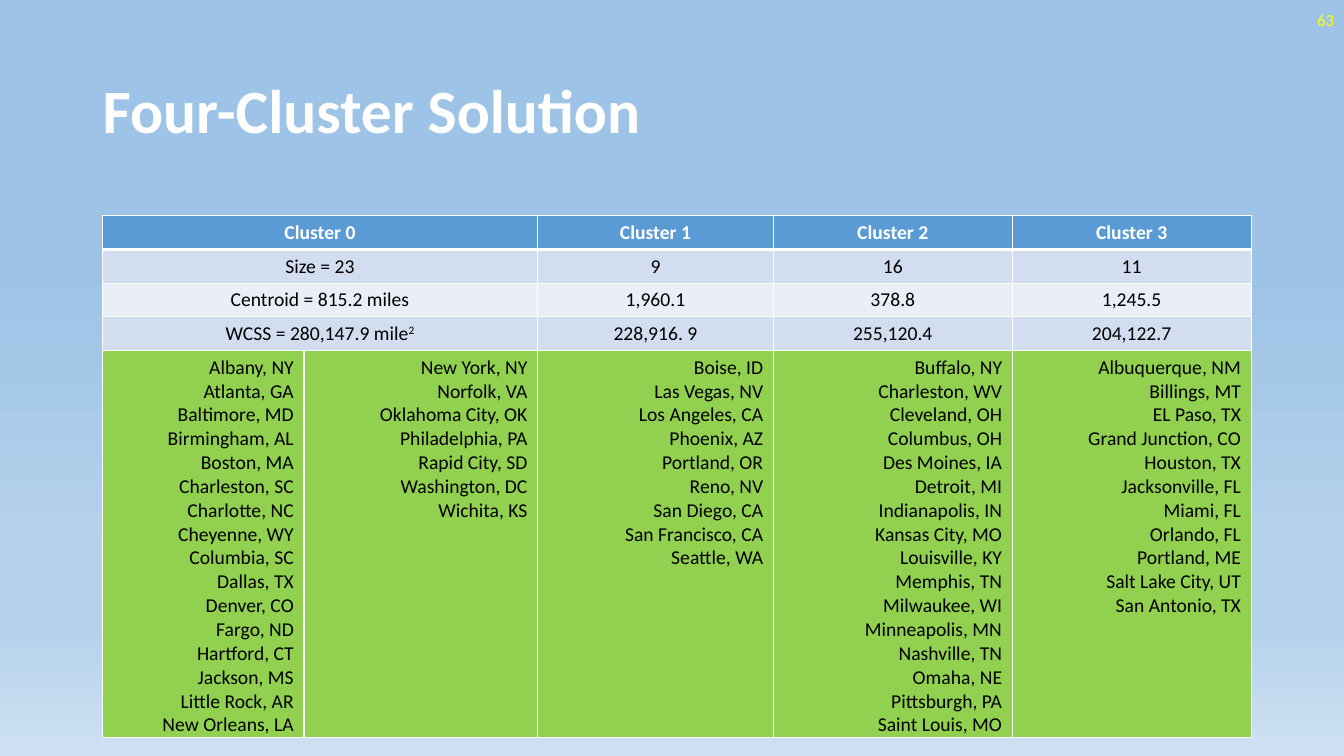
"""Builds the four-cluster solution slide with its table of cities."""
from dataclasses import dataclass

from pptx import Presentation
from pptx.dml.color import RGBColor as Rgb
from pptx.enum.text import MSO_ANCHOR as Anchor, PP_ALIGN as Align
from pptx.oxml import parse_xml
from pptx.oxml.ns import nsdecls, qn
from pptx.util import Cm, Pt

TITLE = "Four-Cluster Solution"
PAGE = "63"
SUMMARY = [
    ["Cluster 0", "Cluster 1", "Cluster 2", "Cluster 3"],
    ["Size = 23", "9", "16", "11"],
    ["Centroid = 815.2 miles", "1,960.1", "378.8", "1,245.5"],
    ["WCSS = 280,147.9 mile^2", "228,916. 9", "255,120.4", "204,122.7"],
]
CITIES = [
    ["Albany, NY", "Atlanta, GA", "Baltimore, MD", "Birmingham, AL",
     "Boston, MA", "Charleston, SC", "Charlotte, NC", "Cheyenne, WY",
     "Columbia, SC", "Dallas, TX", "Denver, CO", "Fargo, ND",
     "Hartford, CT", "Jackson, MS", "Little Rock, AR", "New Orleans, LA"],
    ["New York, NY", "Norfolk, VA", "Oklahoma City, OK", "Philadelphia, PA",
     "Rapid City, SD", "Washington, DC", "Wichita, KS"],
    ["Boise, ID", "Las Vegas, NV", "Los Angeles, CA", "Phoenix, AZ",
     "Portland, OR", "Reno, NV", "San Diego, CA", "San Francisco, CA",
     "Seattle, WA"],
    ["Buffalo, NY", "Charleston, WV", "Cleveland, OH", "Columbus, OH",
     "Des Moines, IA", "Detroit, MI", "Indianapolis, IN", "Kansas City, MO",
     "Louisville, KY", "Memphis, TN", "Milwaukee, WI", "Minneapolis, MN",
     "Nashville, TN", "Omaha, NE", "Pittsburgh, PA", "Saint Louis, MO"],
    ["Albuquerque, NM", "Billings, MT", "EL Paso, TX", "Grand Junction, CO",
     "Houston, TX", "Jacksonville, FL", "Miami, FL", "Orlando, FL",
     "Portland, ME", "Salt Lake City, UT", "San Antonio, TX"],
]
COLUMN_WIDTHS = [5.08, 5.89, 5.94, 6.02, 6.02]
SUMMARY_HEIGHT, CITIES_HEIGHT = 0.76, 8.97


@dataclass(frozen=True)
class Theme:
    """Colours, font and type sizes of the slide."""
    font: str = "Calibri"
    white: str = "FFFFFF"
    black: str = "000000"
    page: str = "FFFF00"
    rows: tuple = ("5B9BD5", "D2DEEF", "EAEFF7", "D2DEEF", "92D050")
    sky: tuple = ((35, "9DC3E6"), (74, "B5D2EC"), (83, "B5D2EC"), (100, "CEE1F2"))
    title_size: int = 44
    table_size: int = 14
    page_size: int = 12
    rule: int = 1
    header_rule: int = 3


THEME = Theme()


def add_run(paragraph, text, size, color, bold=False):
    """Adds one formatted run and returns it."""
    run = paragraph.add_run()
    run.text = text
    run.font.name, run.font.size, run.font.bold = THEME.font, Pt(size), bold
    run.font.color.rgb = Rgb.from_string(color)
    return run


def paint_sky(slide):
    """Fills the background with the vertical gradient."""
    fill = slide.background.fill
    fill.gradient()
    fill.gradient_angle = 270
    stops = slide.element.find(".//" + qn("a:gsLst"))
    for stop in list(stops):
        stops.remove(stop)
    for percent, color in THEME.sky:
        stops.append(parse_xml(
            f'<a:gs {nsdecls("a")} pos="{percent * 1000}"><a:srgbClr val="{color}"/></a:gs>'))


def rule_cell(cell, top, bottom):
    """Draws the four white borders of a cell."""
    properties = cell._tc.get_or_add_tcPr()
    widths = {"lnL": THEME.rule, "lnR": THEME.rule, "lnT": top, "lnB": bottom}
    for place, (side, width) in enumerate(widths.items()):
        properties.insert(place, parse_xml(
            f'<a:{side} {nsdecls("a")} w="{Pt(width)}"><a:solidFill>'
            f'<a:srgbClr val="{THEME.white}"/></a:solidFill></a:{side}>'))


def write_cell(cell, lines, align, color, bold):
    """Writes lines as paragraphs, raising whatever follows a caret."""
    for index, line in enumerate(lines):
        frame = cell.text_frame
        paragraph = frame.add_paragraph() if index else frame.paragraphs[0]
        paragraph.alignment = align
        base, _, power = line.partition("^")
        add_run(paragraph, base, THEME.table_size, color, bold)
        if power:
            raised = add_run(paragraph, power, THEME.table_size, color, bold)
            raised.font._element.set("baseline", "30000")


def add_clusters(slide):
    """Adds the table of cluster figures and cities."""
    heights = [SUMMARY_HEIGHT] * len(SUMMARY) + [CITIES_HEIGHT]
    table = slide.shapes.add_table(
        len(heights), len(COLUMN_WIDTHS), Cm(2.58), Cm(5.44),
        Cm(sum(COLUMN_WIDTHS)), Cm(sum(heights))).table
    for column, width in zip(table.columns, COLUMN_WIDTHS):
        column.width = Cm(width)
    for row, height in zip(table.rows, heights):
        row.height = Cm(height)

    for r, shade in enumerate(THEME.rows):
        for c in range(len(COLUMN_WIDTHS)):
            cell = table.cell(r, c)
            cell.fill.solid()
            cell.fill.fore_color.rgb = Rgb.from_string(shade)
            rule_cell(cell, THEME.header_rule if r == 1 else THEME.rule,
                      THEME.header_rule if r == 0 else THEME.rule)

    for r, figures in enumerate(SUMMARY):
        table.cell(r, 0).merge(table.cell(r, 1))
        for c, figure in zip((0, 2, 3, 4), figures):
            cell = table.cell(r, c)
            cell.vertical_anchor = Anchor.MIDDLE
            write_cell(cell, [figure], Align.CENTER,
                       THEME.black if r else THEME.white, r == 0)
    for c, cities in enumerate(CITIES):
        write_cell(table.cell(len(SUMMARY), c), cities, Align.RIGHT, THEME.black, False)


def main():
    """Builds and saves the slide."""
    deck = Presentation()
    deck.slide_width, deck.slide_height = Cm(33.87), Cm(19.05)
    slide = deck.slides.add_slide(deck.slide_layouts[5])
    paint_sky(slide)

    title = slide.shapes.title
    title.left, title.top, title.width, title.height = Cm(2.33), Cm(1.01), Cm(29.21), Cm(3.68)
    title.text_frame.vertical_anchor = Anchor.MIDDLE
    heading = title.text_frame.paragraphs[0]
    heading.alignment, heading.line_spacing = Align.LEFT, 0.9
    add_run(heading, TITLE, THEME.title_size, THEME.white, True)

    page = slide.shapes.add_textbox(Cm(26.25), Cm(0), Cm(7.62), Cm(1.01)).text_frame
    page.word_wrap, page.vertical_anchor = True, Anchor.MIDDLE
    page.paragraphs[0].alignment = Align.RIGHT
    add_run(page.paragraphs[0], PAGE, THEME.page_size, THEME.page)

    add_clusters(slide)
    deck.save("out.pptx")


if __name__ == "__main__":
    main()
